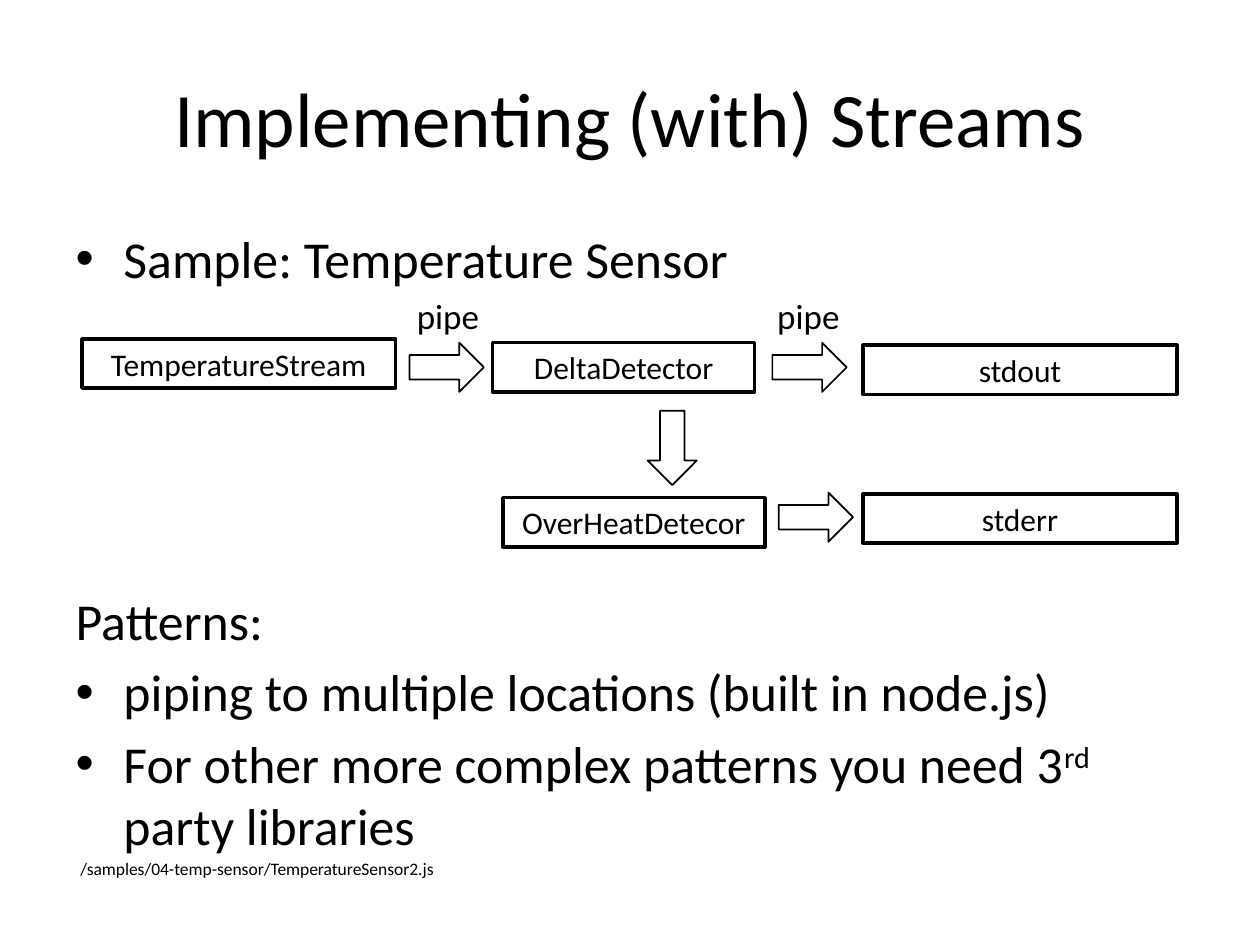
from pptx import Presentation
from pptx.dml.color import RGBColor
from pptx.enum.shapes import MSO_SHAPE as Shape
from pptx.enum.text import MSO_ANCHOR as Anchor, MSO_AUTO_SIZE as AutoSize, PP_ALIGN as Align
from pptx.oxml import parse_xml
from pptx.oxml.ns import nsdecls
from pptx.util import Inches, Pt

# Theme
THEME = {
    "font": "Calibri", "ink": RGBColor(0, 0, 0), "paper": RGBColor(255, 255, 255),
    "title": 44, "body": 29.6, "box": 18, "label": 20, "source": 10,
    "box_line": 2, "arrow_line": 1,
}

# Content
TITLE = "Implementing (with) Streams"
# runs (text, baseline in thousandths of a percent), bulleted, space before in points
BODY = [
    ([("Sample: Temperature Sensor", 0)], True, 0),
    ([("Patterns:", 0)], False, 171),
    ([("piping to multiple locations (built in node.js)", 0)], True, 5.5),
    ([("For other more complex patterns you need 3", 0), ("rd", 30000),
      (" party libraries", 0)], True, 5.5),
]
SOURCE = "/samples/04-temp-sensor/TemperatureSensor2.js"

# Flow diagram: wide boxes in the outer columns, narrow ones in the middle
WIDE, NARROW, BOX_HEIGHT = 2.49, 2.08, 0.39
OUTPUT_LEFT = 6.85
BOXES = [
    ("TemperatureStream", 0.65, 2.69, WIDE),
    ("DeltaDetector", 3.91, 2.72, NARROW),
    ("stdout", OUTPUT_LEFT, 2.74, WIDE),
    ("OverHeatDetecor", 3.99, 3.95, NARROW),
    ("stderr", OUTPUT_LEFT, 3.92, WIDE),
]
ARROW_SIZE = (0.59, 0.39)
ARROWS = [(3.25, 2.72, 0), (6.13, 2.72, 0), (5.04, 3.36, 90), (6.18, 3.91, 0)]
PIPE_LABELS = [("pipe", 3.21, 2.29), ("pipe", 6.07, 2.29)]


def style(paragraph, size, align=Align.LEFT):
    paragraph.alignment = align
    for run in paragraph.runs:
        for name, value in {"name": THEME["font"], "size": Pt(size)}.items():
            setattr(run.font, name, value)
        run.font.color.rgb = THEME["ink"]


def place(shape, *frame):
    for name, value in zip(("left", "top", "width", "height"), frame):
        setattr(shape, name, Inches(value))


def add_block(slide, kind, frame, line_width):
    shape = slide.shapes.add_shape(kind, *map(Inches, frame))
    shape.shadow.inherit = False
    shape.fill.solid()
    shape.fill.fore_color.rgb = THEME["paper"]
    shape.line.color.rgb = THEME["ink"]
    shape.line.width = Pt(line_width)
    return shape


def add_label(slide, text, frame, size, wrap):
    frame_text = slide.shapes.add_textbox(*map(Inches, frame)).text_frame
    frame_text.word_wrap = wrap
    frame_text.text = text
    style(frame_text.paragraphs[0], size)


def set_bullet(paragraph, bulleted):
    properties = paragraph._p.get_or_add_pPr()
    indent = Inches(0.38) if bulleted else 0
    properties.set("marL", str(indent))
    properties.set("indent", str(-indent))
    bullet = 'a:buChar {} char="•"' if bulleted else "a:buNone {}"
    properties.append(parse_xml(f"<{bullet.format(nsdecls('a'))}/>"))


def fill_body(placeholder):
    text_frame = placeholder.text_frame
    text_frame.auto_size = AutoSize.NONE
    for index, (runs, bulleted, space) in enumerate(BODY):
        paragraph = text_frame.paragraphs[0] if index == 0 else text_frame.add_paragraph()
        set_bullet(paragraph, bulleted)
        paragraph.space_before = Pt(space)
        for text, baseline in runs:
            run = paragraph.add_run()
            run.text = text
            if baseline:
                run._r.get_or_add_rPr().set("baseline", str(baseline))
        style(paragraph, THEME["body"])


def main():
    presentation = Presentation()
    presentation.slide_width, presentation.slide_height = Inches(10), Inches(7.5)
    slide = presentation.slides.add_slide(presentation.slide_layouts[1])

    # Title and body
    title, body = slide.placeholders
    place(title, 0.5, 0.3, 9, 1.25)
    title.text_frame.text = TITLE
    title.text_frame.vertical_anchor = Anchor.MIDDLE
    style(title.text_frame.paragraphs[0], THEME["title"], Align.CENTER)
    place(body, 0.5, 1.75, 9, 4.95)
    fill_body(body)

    # Flow diagram
    for text, left, top, width in BOXES:
        box = add_block(slide, Shape.RECTANGLE, (left, top, width, BOX_HEIGHT), THEME["box_line"])
        box.text_frame.text = text
        box.text_frame.vertical_anchor = Anchor.MIDDLE
        style(box.text_frame.paragraphs[0], THEME["box"], Align.CENTER)
    for left, top, rotation in ARROWS:
        arrow = add_block(slide, Shape.RIGHT_ARROW, (left, top, *ARROW_SIZE), THEME["arrow_line"])
        arrow.rotation = rotation
    for text, left, top in PIPE_LABELS:
        add_label(slide, text, (left, top, 0.7, 0.44), THEME["label"], False)

    # Sample file
    add_label(slide, SOURCE, (0.54, 6.76, 8.8, 0.27), THEME["source"], True)

    presentation.save("out.pptx")


if __name__ == "__main__":
    main()
